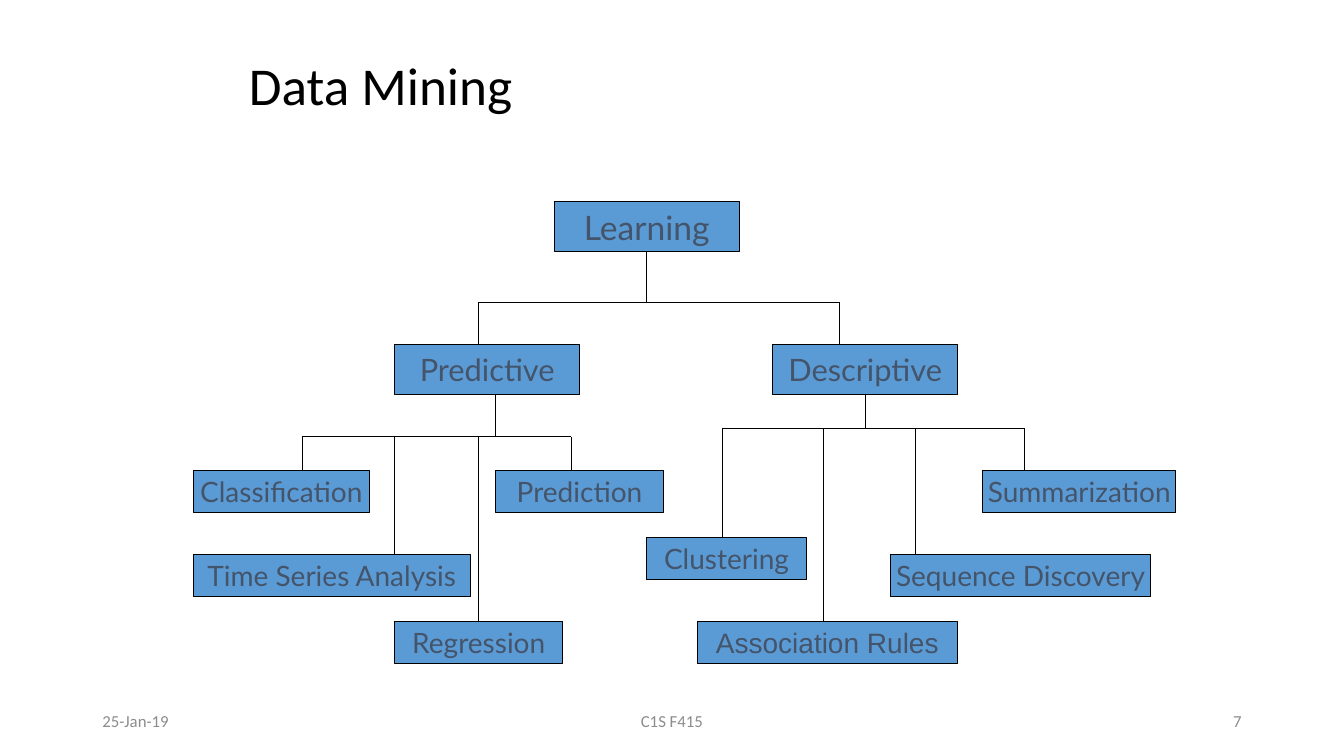
import pptx
import pptx.util
import pptx.dml.color
import pptx.enum.shapes
import pptx.enum.text
import pptx.oxml.ns
import lxml.etree

Pt = pptx.util.Pt
RGBColor = pptx.dml.color.RGBColor
Align = pptx.enum.text.PP_ALIGN

BLACK = RGBColor(0x00, 0x00, 0x00)
BLUE = RGBColor(0x5B, 0x9B, 0xD5)
SLATE = RGBColor(0x44, 0x54, 0x6A)
GREY = RGBColor(0x8C, 0x8C, 0x8C)


class Diagram:
    """Holds the style and the current slide."""
    line_width = Pt(0.75)
    box_font = "Lato"
    page_font = "Calibri"

    def __init__(self, page):
        self.page = page

    def set_text(self, shape, text, size, font, color, align, wrap=True):
        frame = shape.text_frame
        frame.word_wrap = wrap
        frame.auto_size = pptx.enum.text.MSO_AUTO_SIZE.NONE
        frame.vertical_anchor = pptx.enum.text.MSO_ANCHOR.MIDDLE
        para = frame.paragraphs[0]
        para.text = text
        para.alignment = align
        para.font.size = Pt(size)
        para.font.name = font
        para.font.color.rgb = color
        return para

    def title(self, text, left, top, width, height):
        title = self.page.shapes.title
        title.left, title.top = Pt(left), Pt(top)
        title.width, title.height = Pt(width), Pt(height)
        para = self.set_text(title, text, 38, self.page_font, BLACK,
                             Align.LEFT)
        para.line_spacing = 0.9

    def box(self, text, left, top, width, height, size, font=None):
        box = self.page.shapes.add_shape(
            pptx.enum.shapes.MSO_SHAPE.RECTANGLE,
            Pt(left), Pt(top), Pt(width), Pt(height))
        box.shadow.inherit = False
        box.fill.solid()
        box.fill.fore_color.rgb = BLUE
        box.line.color.rgb = BLACK
        box.line.width = self.line_width
        self.set_text(box, text, size, font or self.box_font, SLATE,
                      Align.CENTER, wrap=False)

    def line(self, x1, y1, x2, y2):
        line = self.page.shapes.add_connector(
            pptx.enum.shapes.MSO_CONNECTOR.STRAIGHT,
            Pt(x1), Pt(y1), Pt(x2), Pt(y2))
        line.line.color.rgb = BLACK
        line.line.width = self.line_width
        lxml.etree.SubElement(line._element.spPr,
                              pptx.oxml.ns.qn("a:effectLst"))

    def branch(self, stem_x, stem_y, rail_y, drops):
        """A stem down to a rail, and a drop from the rail to each child."""
        self.line(stem_x, stem_y, stem_x, rail_y)
        self.line(drops[0][0], rail_y, drops[-1][0], rail_y)
        for x, child_top in drops:
            self.line(x, rail_y, x, child_top)

    def footer(self, text, left, width, align):
        note = self.page.shapes.add_textbox(
            Pt(left), Pt(500.4), Pt(width), Pt(28.8))
        self.set_text(note, text, 12, self.page_font, GREY, align)


deck = pptx.Presentation()
deck.slide_width, deck.slide_height = Pt(960), Pt(540)
TITLE_ONLY = 5
diagram = Diagram(deck.slides.add_slide(deck.slide_layouts[TITLE_ONLY]))
diagram.title(" Data Mining", 162, 30, 246, 66)

# Rows of the tree
ROOT, KINDS = 144, 246
UPPER, MIDDLE, LOWER, BOTTOM = 336, 384, 396, 444
PARENT_WIDTH, PARENT_HEIGHT, TASK_HEIGHT = 132, 36, 30

# Lines: root to kinds, then kinds to tasks
diagram.branch(462, ROOT + PARENT_HEIGHT, 216, [(342, KINDS), (600, KINDS)])
diagram.branch(354, KINDS + PARENT_HEIGHT, 312,
               [(216, UPPER), (282, LOWER), (342, BOTTOM), (408, UPPER)])
diagram.branch(618, KINDS + PARENT_HEIGHT, 306,
               [(516, MIDDLE), (588, BOTTOM), (654, LOWER), (732, UPPER)])

# Parent boxes
for text, left, top, size in [("Learning", 396, ROOT, 24),
                              ("Predictive", 282, KINDS, 22),
                              ("Descriptive", 552, KINDS, 22)]:
    diagram.box(text, left, top, PARENT_WIDTH, PARENT_HEIGHT, size)

# Task boxes
for text, left, top, width, font in [
        ("Classification", 138, UPPER, 126, None),
        ("Time Series Analysis", 138, LOWER, 198, None),
        ("Regression", 282, BOTTOM, 120, None),
        ("Prediction", 354, UPPER, 120, None),
        ("Clustering", 462, MIDDLE, 114, None),
        ("Association Rules", 498, BOTTOM, 186, "Arial"),
        ("Sequence Discovery", 636, LOWER, 186, None),
        ("Summarization", 702, UPPER, 138, None)]:
    diagram.box(text, left, top, width, TASK_HEIGHT, 20, font)

# Footer
diagram.footer("25-Jan-19", 66, 216, Align.LEFT)
diagram.footer("C1S F415", 318, 324, Align.CENTER)
diagram.footer("7", 678, 216, Align.RIGHT)

deck.save("out.pptx")
